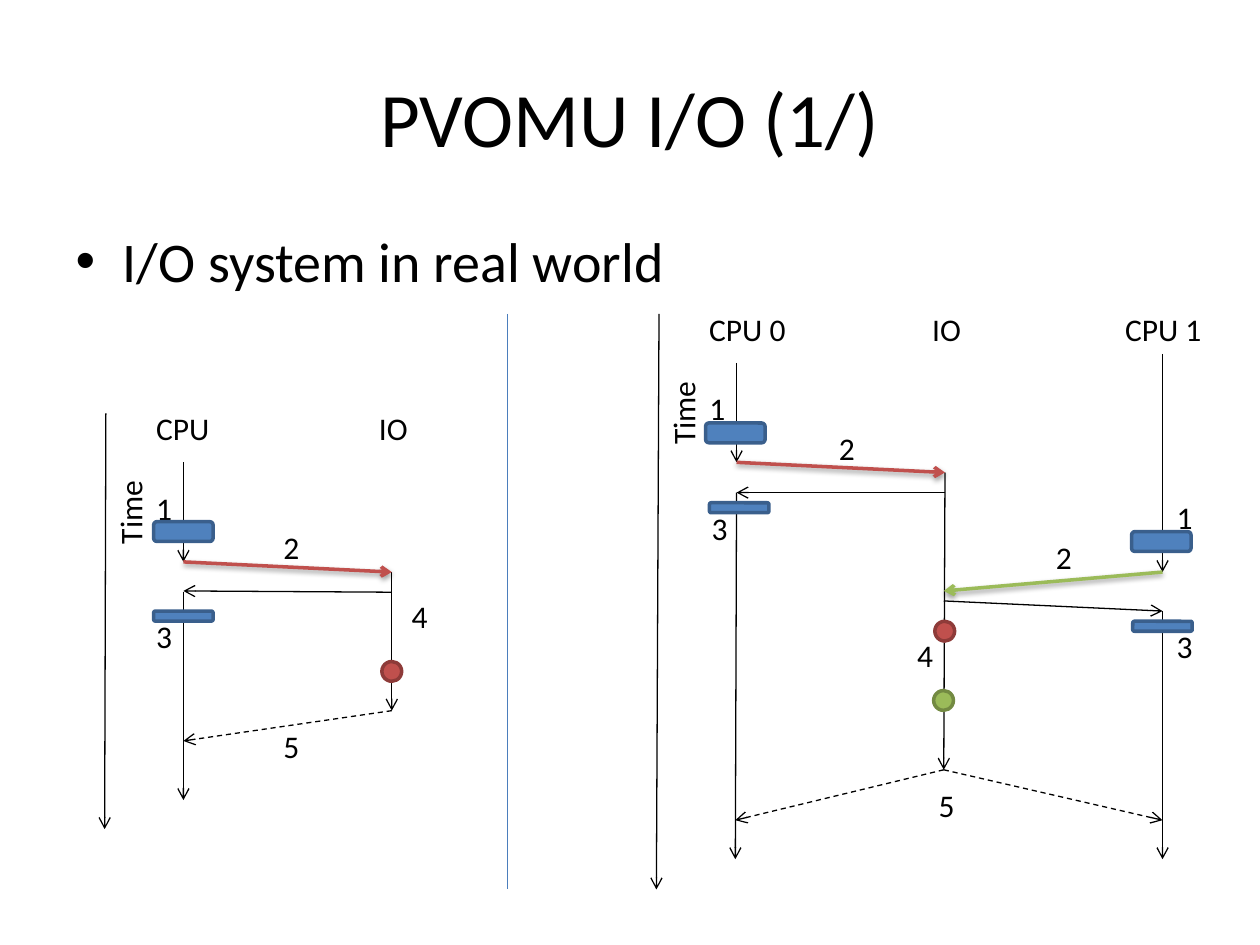
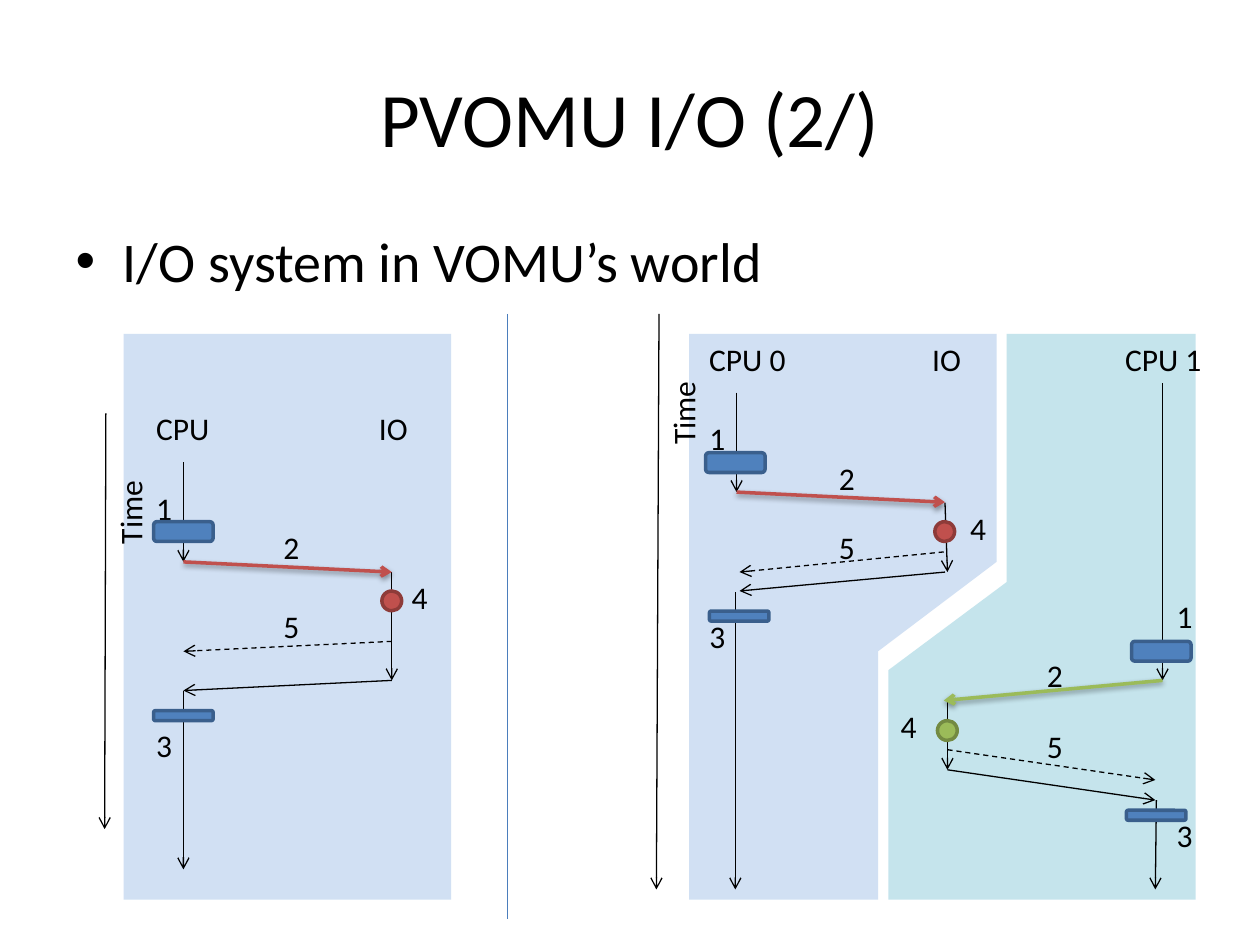
from dataclasses import dataclass

from lxml import etree
from pptx import Presentation
from pptx.dml.color import RGBColor
from pptx.enum.dml import MSO_LINE
from pptx.enum.shapes import MSO_CONNECTOR, MSO_SHAPE
from pptx.enum.text import MSO_ANCHOR, MSO_AUTO_SIZE, PP_ALIGN
from pptx.oxml.ns import qn
from pptx.util import Pt

STRAIGHT = MSO_CONNECTOR.STRAIGHT
DASH = MSO_LINE.DASH
OVAL, ROUNDED = MSO_SHAPE.OVAL, MSO_SHAPE.ROUNDED_RECTANGLE
MIDDLE, TOP = MSO_ANCHOR.MIDDLE, MSO_ANCHOR.TOP
CENTER, LEFT = PP_ALIGN.CENTER, PP_ALIGN.LEFT
NO_FIT = MSO_AUTO_SIZE.NONE


@dataclass(frozen=True)
class Theme:
    font: str = "Calibri"
    title_size: int = 44
    body_size: int = 32
    label_size: int = 18
    ink: str = "000000"
    divider: str = "4B7EBC"
    red: str = "C0504D"
    red_edge: str = "8E3B39"
    green: str = "9BBB59"
    green_edge: str = "738A42"
    blue: str = "4F81BD"
    blue_edge: str = "3A5F8C"
    blue_panel: str = "C6D9F1"
    teal_panel: str = "B7DEE8"
    thin: float = 0.75
    thick: float = 2


theme = Theme()


def write_text(frame, text, size=theme.label_size, align=LEFT, anchor=TOP, wrap=False):
    frame.auto_size = NO_FIT
    frame.word_wrap = wrap
    frame.vertical_anchor = anchor
    paragraph = frame.paragraphs[0]
    paragraph.alignment = align
    run = paragraph.add_run()
    run.text = text
    run.font.name = theme.font
    run.font.size = Pt(size)
    run.font.color.rgb = RGBColor.from_string(theme.ink)


def draw_line(slide, ends, color=theme.ink, dashed=False, arrow=True, request=False):
    connector = slide.shapes.add_connector(STRAIGHT, *[Pt(value) for value in ends])
    connector.line.color.rgb = RGBColor.from_string(color)
    connector.line.width = Pt(theme.thick if request else theme.thin)
    if dashed:
        connector.line.dash_style = DASH
    properties = connector.element.spPr
    if arrow:
        etree.SubElement(properties.find(qn("a:ln")), qn("a:tailEnd"), type="arrow")
    effects = etree.SubElement(properties, qn("a:effectLst"))
    if request:
        shadow = etree.SubElement(
            effects, qn("a:outerShdw"), blurRad=str(Pt(3.1)), dist=str(Pt(1.6)),
            dir="5400000", rotWithShape="0")
        shade = etree.SubElement(shadow, qn("a:srgbClr"), val=theme.ink)
        etree.SubElement(shade, qn("a:alpha"), val="38000")


cpu, io = 104.8, 223.9
cpu0, cpu0_resumed, cpu1 = 420.9, 420.2, 664.3
block_width, block_height, resume_height, dot_size = 34, 11.3, 5.7, 11.3
label_height = 29
label_widths = {"Time": 51, "CPU": 50, "IO": 31, "CPU 0": 58, "CPU 1": 58}
digit_width = 24

teal_outline = [(683.3, 514.1), (507.6, 514.1), (507.6, 383), (575.3, 332.6),
                (575.3, 190.8), (683.3, 190.8)]
blue_outline = [(393.8, 190.8), (569.5, 190.8), (569.5, 321.1), (501.8, 372.2),
                (501.8, 514.1), (393.8, 514.1)]
single_outline = [(70.6, 190.8), (257.8, 190.8), (257.8, 514.1), (70.6, 514.1)]

real_world = dict(
    title="PVOMU I/O (1/)",
    topic="I/O system in real world",
    topic_height=53.3,
    panels=[],
    drop=0,
    divider_end=508.3,
    flows=[
        (cpu, 338.4, cpu, 457.2),
        (io, 326.9, io, 406.1),
        (io, 338.4, cpu, 337.7),
        (cpu0, 281.5, cpu0_resumed, 491),
        (540, 270, 539.3, 439.9),
        (540, 281.5, cpu0, 281.5),
        (cpu1, 202.3, cpu1, 326.9),
        (cpu1, 349.2, cpu1, 491),
        (539.3, 343.4, cpu1, 349.2),
    ],
    interrupts=[
        (io, 406.1, cpu, 423.4),
        (539.3, 439.9, cpu0_resumed, 468.7),
        (539.3, 439.9, cpu1, 468.7),
    ],
    green_request=(cpu1, 326.9, 539.3, 337.7),
    labels=[
        ("3", 82.1, 349.2), ("4", 228.2, 337.7), ("5", 154.8, 411.8),
        ("3", 399.6, 287.3), ("4", 517, 360),
        ("1", 665.3, 280.8), ("2", 596.2, 303.8), ("3", 665.3, 355), ("5", 529.2, 445.7),
    ],
    cpu1_block=303.8,
    resumes=[(87.8, 349.2), (405.4, 287.3), (647.3, 355)],
    red_dots=[(218.2, 378), (534.2, 355)],
    green_dot=(533.5, 394.6),
)

emulated_world = dict(
    title="PVOMU I/O (2/)",
    topic="I/O system in VOMU’s world",
    topic_height=41.8,
    panels=[
        (teal_outline, theme.teal_panel),
        (blue_outline, theme.blue_panel),
        (single_outline, theme.blue_panel),
    ],
    drop=17,
    divider_end=524.9,
    flows=[
        (cpu, 394.6, cpu, 496.8),
        (io, 326.9, io, 388.8),
        (io, 388.8, cpu, 394.6),
        (cpu0_resumed, 338.4, cpu0_resumed, 508.3),
        (540, 287.3, 541.4, 326.9),
        (540, 326.9, 422.6, 337.7),
        (cpu1, 218.9, cpu1, 388.8),
        (541.4, 400.3, 541.4, 439.9),
        (541.4, 439.9, 660.2, 457.2),
        (660.8, 457.2, 660.2, 508.3),
    ],
    interrupts=[
        (io, 366.5, cpu, 372.2),
        (539.3, 315.4, 422.6, 326.9),
        (541.4, 428.4, 660.2, 445.7),
    ],
    green_request=(cpu1, 388.8, 539.3, 400.3),
    labels=[
        ("3", 82.1, 411.1), ("4", 228.2, 326.9), ("5", 154.8, 343.4),
        ("3", 398.2, 349.2), ("4", 547.2, 287.3), ("5", 472.3, 298.1),
        ("1", 665.3, 337.7), ("2", 591.1, 371.5), ("3", 665.3, 463),
        ("4", 507.6, 400.3), ("5", 591.1, 411.8),
    ],
    cpu1_block=366.5,
    resumes=[(87.8, 406.1), (405.4, 349.2), (643.7, 463)],
    red_dots=[(218.2, 337.7), (534.2, 298.1)],
    green_dot=(535.7, 411.8),
)

deck = Presentation()
deck.slide_width, deck.slide_height = Pt(720), Pt(540)

for world in (real_world, emulated_world):
    slide = deck.slides.add_slide(deck.slide_layouts[1])
    drop = world["drop"]

    heading, topic = slide.shapes.title, slide.placeholders[1]
    for holder, top, height in ((heading, 21.6, 90), (topic, 126, world["topic_height"])):
        holder.left, holder.top, holder.width, holder.height = Pt(36), Pt(top), Pt(648), Pt(height)
    write_text(heading.text_frame, world["title"], size=theme.title_size,
               align=CENTER, anchor=MIDDLE, wrap=True)
    write_text(topic.text_frame, world["topic"], size=theme.body_size, wrap=True)

    for outline, tint in world["panels"]:
        corners = [(Pt(x), Pt(y)) for x, y in outline]
        builder = slide.shapes.build_freeform(*corners[0])
        builder.add_line_segments(corners[1:], close=True)
        panel = builder.convert_to_shape()
        panel.shadow.inherit = False
        panel.fill.solid()
        panel.fill.fore_color.rgb = RGBColor.from_string(tint)
        panel.line.fill.background()
        tint_node = panel.element.spPr.find(qn("a:solidFill"))[0]
        etree.SubElement(tint_node, qn("a:alpha"), val="80000")

    draw_line(slide, (290.2, 179.3, 290.2, world["divider_end"]), color=theme.divider, arrow=False)
    shared_flows = [
        (60.5, 236.2, 59.8, 473.8),
        (376.6, 179.3, 375.1, 508.3),
        (cpu, 264.2, cpu, 321.1),
        (cpu0, 207.4 + drop, cpu0, 264.2 + drop),
    ]
    for ends in shared_flows + world["flows"]:
        draw_line(slide, ends)
    for ends in world["interrupts"]:
        draw_line(slide, ends, dashed=True)
    for ends, color in (
        ((cpu, 321.1, io, 326.9), theme.red),
        ((cpu0, 264.2 + drop, 540, 270 + drop), theme.red),
        (world["green_request"], theme.green),
    ):
        draw_line(slide, ends, color=color, request=True)

    shared_labels = [
        ("Time", 48.8, 278.1), ("CPU", 82.1, 230.4), ("IO", 209.5, 230.4),
        ("1", 82.1, 275.8), ("2", 154.8, 298.1),
        ("Time", 364.8, 221.3), ("CPU 0", 398.2, 173.5 + drop),
        ("IO", 525.6, 173.5 + drop), ("CPU 1", 635.8, 173.5 + drop),
        ("1", 398.2, 218.9 + drop), ("2", 472.3, 241.7 + drop),
    ]
    for words, left, top in shared_labels + world["labels"]:
        label = slide.shapes.add_textbox(
            Pt(left), Pt(top), Pt(label_widths.get(words, digit_width)), Pt(label_height))
        label.rotation = 270 if words == "Time" else 0
        write_text(label.text_frame, words)

    marks = [
        (ROUNDED, left, top, block_width, block_height, theme.blue, theme.blue_edge)
        for left, top in ((87.8, 298.1), (403.2, 241.7 + drop), (646.6, world["cpu1_block"]))
    ]
    marks += [
        (ROUNDED, left, top, block_width, resume_height, theme.blue, theme.blue_edge)
        for left, top in world["resumes"]
    ]
    marks += [
        (OVAL, left, top, dot_size, dot_size, theme.red, theme.red_edge)
        for left, top in world["red_dots"]
    ]
    marks.append((OVAL, *world["green_dot"], dot_size, dot_size, theme.green, theme.green_edge))
    for outline, left, top, width, height, color, edge in marks:
        mark = slide.shapes.add_shape(outline, Pt(left), Pt(top), Pt(width), Pt(height))
        mark.shadow.inherit = False
        mark.fill.solid()
        mark.fill.fore_color.rgb = RGBColor.from_string(color)
        mark.line.color.rgb = RGBColor.from_string(edge)
        mark.line.width = Pt(theme.thick)

deck.save("out.pptx")
